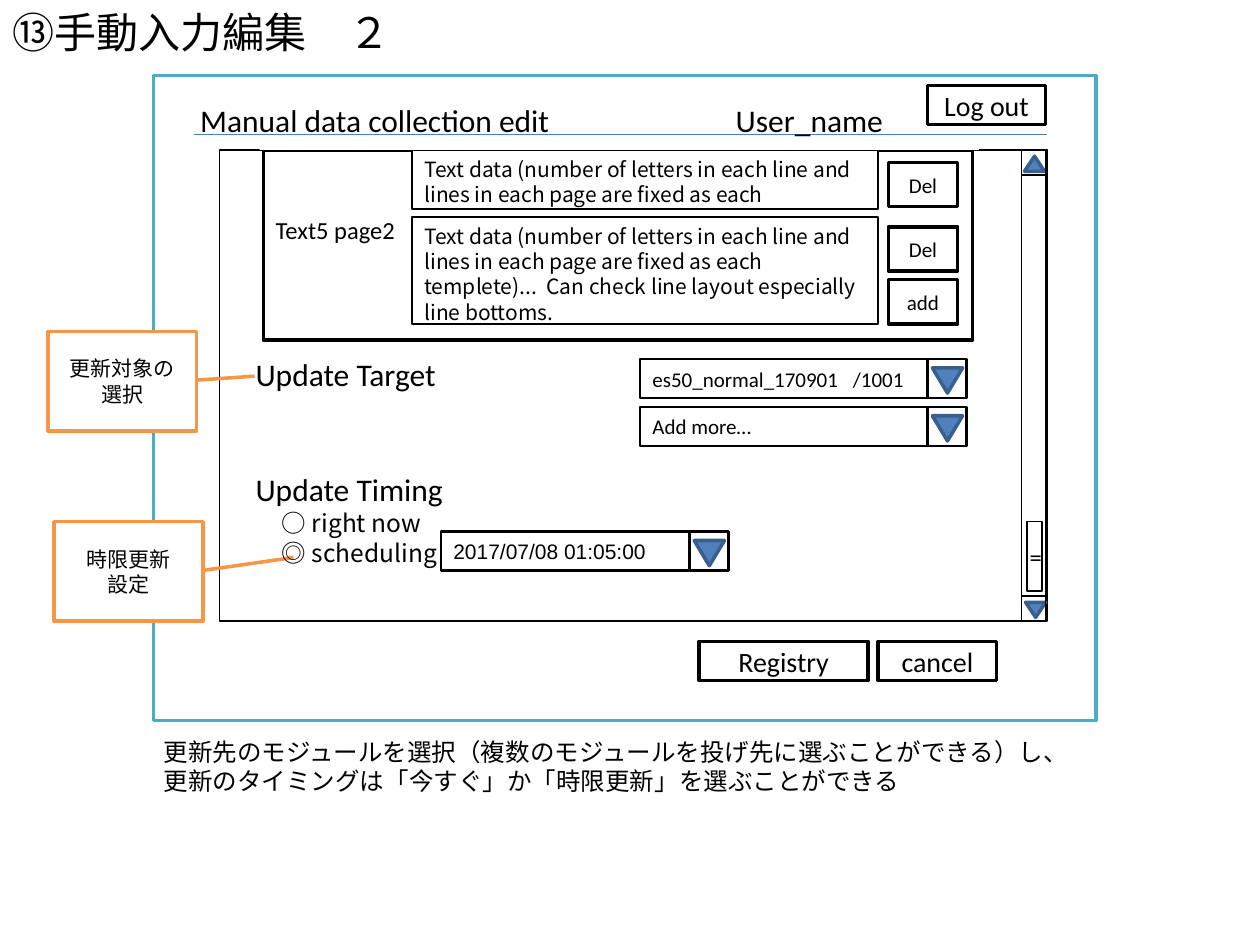
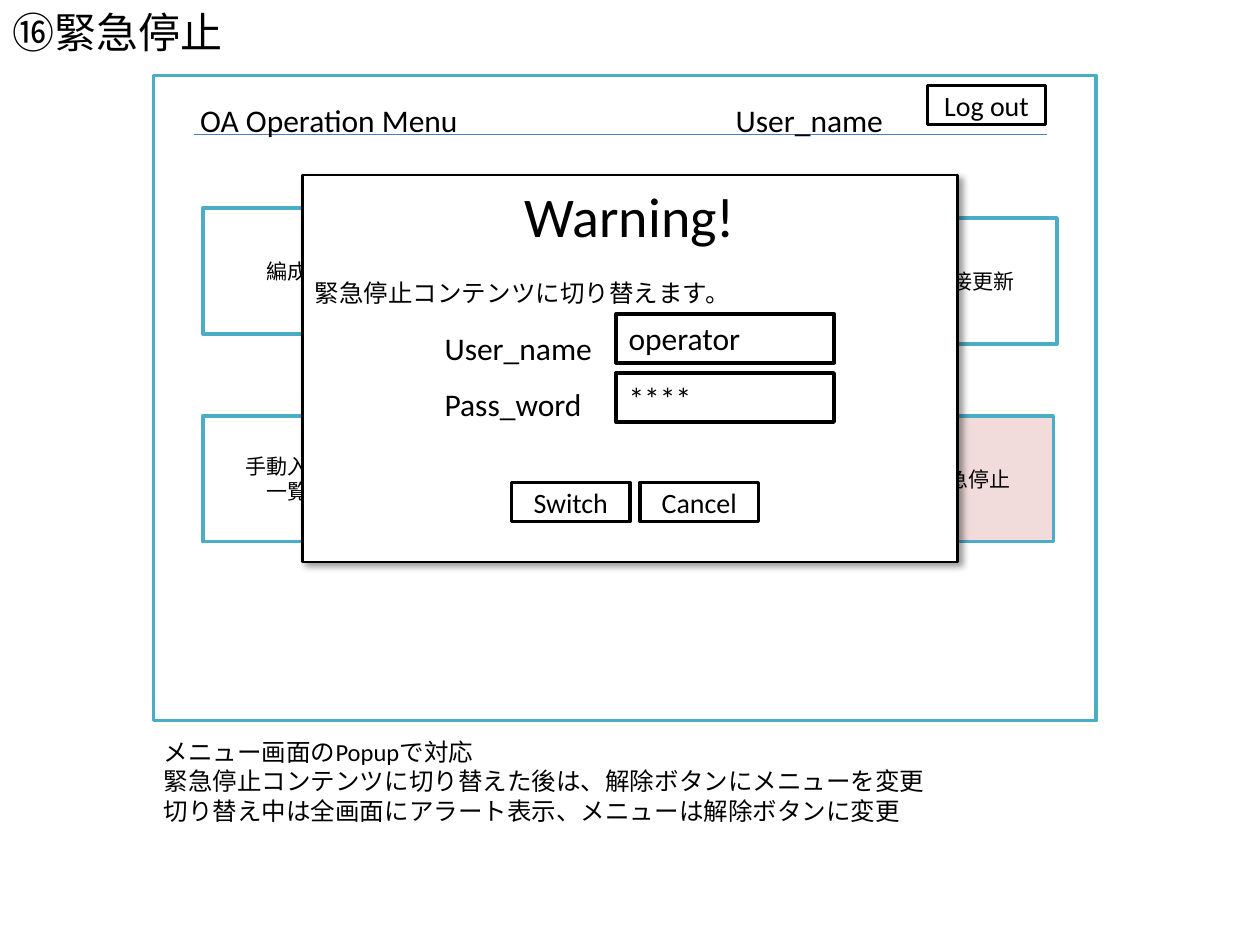
from dataclasses import dataclass

from lxml import etree
from pptx import Presentation
from pptx.dml.color import RGBColor
from pptx.enum.shapes import MSO_CONNECTOR, MSO_SHAPE
from pptx.enum.text import MSO_ANCHOR as ANCHOR, MSO_AUTO_SIZE as AUTO_SIZE, PP_ALIGN as ALIGN
from pptx.oxml import parse_xml
from pptx.oxml.ns import nsdecls, qn
from pptx.util import Inches, Pt


@dataclass(frozen=True)
class Theme:
    black: str = "000000"
    white: str = "FFFFFF"
    teal: str = "4BACC6"
    orange: str = "F79646"
    pink: str = "F2DCDB"
    rule: str = "4B7EBC"
    arrow_fill: str = "4F81BD"
    arrow_line: str = "3A5F8C"
    font: str = "Calibri"
    data_font: str = "Noto Sans CJK JP"
    time_font: str = "Arial"
    title: int = 24
    warning: int = 32
    heading: int = 18
    button: int = 16
    body: int = 14
    small: int = 12


THEME = Theme()


# Text helpers
def format_paragraph(paragraph, size, font=THEME.font, align=ALIGN.LEFT, spacing=None):
    paragraph.alignment = align
    if spacing:
        paragraph.line_spacing = spacing
    for run in paragraph.runs:
        run.font.size = Pt(size)
        run.font.name = font
        run.font.color.rgb = RGBColor.from_string(THEME.black)


def write(shape, text, size, font=THEME.font, align=ALIGN.CENTER,
          anchor=ANCHOR.MIDDLE, spacing=None):
    text_frame = shape.text_frame
    text_frame.text = text
    text_frame.word_wrap = True
    text_frame.vertical_anchor = anchor
    for paragraph in text_frame.paragraphs:
        format_paragraph(paragraph, size, font, align, spacing)
    return text_frame


def add_text(slide, left, top, width, height, text, size, wrap=True, spacing=None):
    box = slide.shapes.add_textbox(*map(Inches, (left, top, width, height)))
    text_frame = write(box, text, size, align=ALIGN.LEFT, anchor=ANCHOR.TOP, spacing=spacing)
    text_frame.word_wrap = wrap
    text_frame.auto_size = AUTO_SIZE.NONE if size == THEME.title else AUTO_SIZE.SHAPE_TO_FIT_TEXT
    return text_frame


# Shape helpers
def add_box(slide, left, top, width, height, line=THEME.black, weight=2,
            fill=THEME.white, kind=MSO_SHAPE.RECTANGLE):
    shape = slide.shapes.add_shape(kind, *map(Inches, (left, top, width, height)))
    shape.shadow.inherit = False
    if fill:
        shape.fill.solid()
        shape.fill.fore_color.rgb = RGBColor.from_string(fill)
    else:
        shape.fill.background()
    if line:
        shape.line.color.rgb = RGBColor.from_string(line)
        shape.line.width = Pt(weight)
    else:
        shape.line.fill.background()
    return shape


def add_button(slide, left, top, text, width=0.94, height=0.31, size=THEME.button):
    write(add_box(slide, left, top, width, height), text, size)


def add_arrow(slide, left, top, width=0.24, height=0.2):
    return add_box(slide, left, top, width, height, THEME.arrow_line, 2,
                   THEME.arrow_fill, MSO_SHAPE.FLOWCHART_MERGE)


def add_dropdown(slide, left, top, width, text, font=THEME.font):
    side = 0.31
    field = add_box(slide, left, top, width, side, weight=1.5)
    write(field, text, THEME.small, font, ALIGN.LEFT)
    add_box(slide, left + width, top, side, side, weight=1.5)
    add_arrow(slide, left + width + 0.04, top + 0.07)
    return field


def add_callout(slide, left, top, text, end_y, end_x):
    callout = add_box(slide, left, top, 1.18, 0.79, THEME.orange, kind=MSO_SHAPE.LINE_CALLOUT_1)
    for index, value in enumerate((0.49, 1.0, end_y, end_x)):
        callout.adjustments[index] = value
    write(callout, text, THEME.small)


def add_tile(slide, left, top, text, fill=THEME.white):
    write(add_box(slide, left, top, 1.34, 1, THEME.teal, fill=fill), text, THEME.small)


def add_drop_shadow(shape):
    shape.element.spPr.find(qn("a:effectLst")).append(parse_xml(
        f'<a:outerShdw {nsdecls("a")} blurRad="{Pt(4)}" dist="{Pt(3)}" dir="2700000" '
        f'algn="tl" rotWithShape="0"><a:srgbClr val="{THEME.black}">'
        '<a:alpha val="40000"/></a:srgbClr></a:outerShdw>'))


def add_rule(slide, left, right, y):
    rule = slide.shapes.add_connector(MSO_CONNECTOR.STRAIGHT, *map(Inches, (left, y, right, y)))
    rule.line.color.rgb = RGBColor.from_string(THEME.rule)
    rule.line.width = Pt(0.75)
    etree.SubElement(rule.element.spPr, qn("a:effectLst"))


# Parts shared by both slides
def add_screen(presentation, title, heading, caption):
    slide = presentation.slides.add_slide(presentation.slide_layouts[6])
    add_text(slide, 0, 0, 10, 0.6, title, THEME.title)
    add_box(slide, 1.22, 0.6, 7.48, 5.12, THEME.teal)
    add_rule(slide, 1.54, 8.31, 1.07)
    add_button(slide, 7.36, 0.68, "Log out")
    for left, width, label in ((1.49, 3.01, heading), (5.74, 1.38, "User_name")):
        add_text(slide, left, 0.6, width, 0.51, label, THEME.heading, wrap=False, spacing=1.5)
    lines = caption.count("\n") + 1
    add_text(slide, 1.2, 5.8, 8.29, 0.1 + 0.24 * lines, caption, THEME.body)
    return slide


# Parts of the edit screen
def add_scrollbar(slide):
    left, width = 8.11, 0.2
    for top, height in ((1.19, 3.54), (1.19, 0.2), (4.73, 0.2)):
        add_box(slide, left, top, width, height, weight=0.75)
    add_arrow(slide, left + 0.02, 1.24, 0.16, 0.12).rotation = 180
    add_arrow(slide, left + 0.03, 4.78, 0.16, 0.12)
    handle = add_box(slide, left + 0.04, 4.14, 0.12, 0.55, weight=0.75)
    write(handle, "=", THEME.body)


def add_page_editor(slide):
    panel = add_box(slide, 2.09, 1.19, 5.63, 1.51)
    label = write(panel, "Text5 page2", THEME.body, align=ALIGN.LEFT, anchor=ANCHOR.TOP)
    label.margin_top = Inches(0.52)
    first_lines = "Text data (number of letters in each line and lines in each page are fixed as each"
    all_lines = first_lines + "\ntemplete)...  Can check line layout especially line bottoms."
    for top, height, text in ((1.72, 0.85, all_lines), (1.19, 0.47, first_lines)):
        write(add_box(slide, 3.27, top, 3.7, height, weight=1), text, THEME.small,
              THEME.data_font, ALIGN.LEFT, ANCHOR.TOP, Pt(14.5))
    for top, text in ((1.29, "Del"), (1.8, "Del"), (2.22, "add")):
        add_button(slide, 7.05, top, text, 0.55, 0.35, THEME.small)


def add_update_settings(slide):
    text_frame = add_text(slide, 1.93, 2.77, 5.67, 1.78,
                          "Update Target\nUpdate Timing\n○ right now\n◎ scheduling", THEME.heading)
    timing, *options = text_frame.paragraphs[1:]
    timing.space_before = Pt(44)
    for option in options:
        format_paragraph(option, THEME.body, THEME.data_font, spacing=Pt(17))
        option._p.get_or_add_pPr().set("marL", str(Inches(0.21)))

    target = add_dropdown(slide, 5.08, 2.85, 2.28, "es50_normal_170901\t/1001")
    properties = target.text_frame.paragraphs[0]._p.get_or_add_pPr()
    tabs = etree.SubElement(properties, qn("a:tabLst"))
    etree.SubElement(tabs, qn("a:tab"), pos=str(Inches(1.59)), algn="l")
    add_dropdown(slide, 5.08, 3.23, 2.28, "Add more…")
    add_dropdown(slide, 3.5, 4.22, 1.97, "2017/07/08 01:05:00", THEME.time_font)


def build_edit_slide(presentation):
    slide = add_screen(
        presentation, "⑬手動入力編集　２", "Manual data collection edit",
        "更新先のモジュールを選択（複数のモジュールを投げ先に選ぶことができる）し、\n"
        "更新のタイミングは「今すぐ」か「時限更新」を選ぶことができる")
    add_button(slide, 6.97, 5.09, "cancel")
    add_button(slide, 5.55, 5.09, "Registry", width=1.34)
    add_scrollbar(slide)
    add_box(slide, 1.74, 1.19, 6.56, 3.74, weight=0.75, fill=None)
    add_callout(slide, 0.43, 4.14, "時限更新\n設定", 0.36, 1.61)
    add_page_editor(slide)
    add_update_settings(slide)
    add_callout(slide, 0.38, 2.63, "更新対象の選択", 0.45, 1.39)
    # Strip that cuts the scrolled panel off at the top
    add_box(slide, 2.06, 1.15, 5.71, 0.04, line=None)


# Parts of the emergency stop screen
def add_warning(slide):
    dialog = add_box(slide, 2.4, 1.39, 5.2, 3.07, weight=1.5)
    add_drop_shadow(dialog)
    text_frame = write(dialog, "Warning!\n緊急停止コンテンツに切り替えます。",
                       THEME.warning, anchor=ANCHOR.TOP)
    message = text_frame.paragraphs[1]
    format_paragraph(message, THEME.body)
    message.space_before = Pt(17)

    add_button(slide, 5.08, 3.83, "Cancel")
    add_button(slide, 4.06, 3.83, "Switch")
    add_text(slide, 3.43, 2.41, 1.38, 0.96, "User_name\nPass_word", THEME.heading,
             wrap=False, spacing=1.5)
    for top, value in ((2.49, "operator"), (2.96, "****")):
        write(add_box(slide, 4.89, top, 1.73, 0.39), value, THEME.heading, align=ALIGN.LEFT)


def build_stop_slide(presentation):
    slide = add_screen(
        presentation, "⑯緊急停止", "OA Operation Menu",
        "メニュー画面のPopupで対応\n"
        "緊急停止コンテンツに切り替えた後は、解除ボタンにメニューを変更\n"
        "切り替え中は全画面にアラート表示、メニューは解除ボタンに変更")
    add_tile(slide, 1.61, 1.65, "編成")
    add_tile(slide, 7.05, 1.73, "直接更新")
    add_tile(slide, 1.61, 3.3, "手動入力\n一覧")
    add_tile(slide, 7.02, 3.3, "緊急停止", THEME.pink)
    add_warning(slide)


def main():
    presentation = Presentation()
    presentation.slide_width = Inches(10)
    presentation.slide_height = Inches(7.5)
    build_edit_slide(presentation)
    build_stop_slide(presentation)
    presentation.save("out.pptx")


if __name__ == "__main__":
    main()
